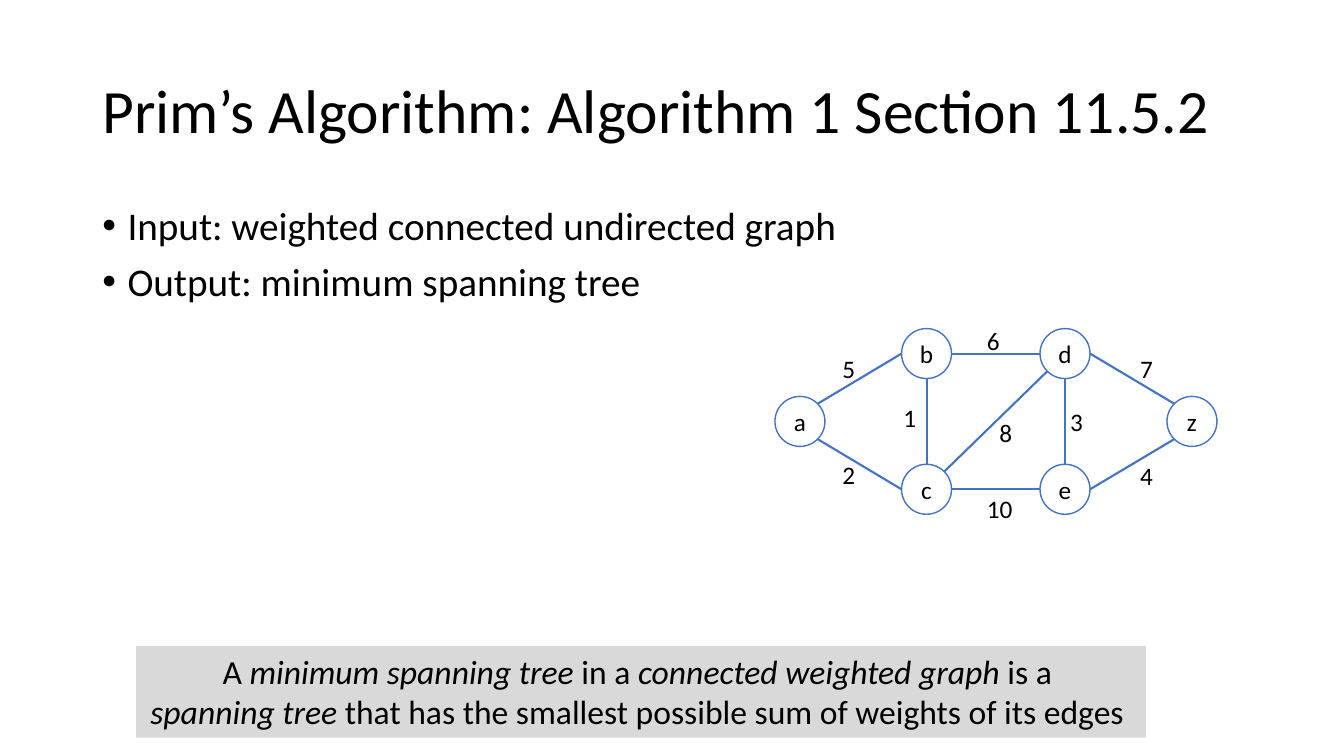
from math import cos, radians, sin

from lxml.etree import SubElement
from pptx import Presentation
from pptx.dml.color import RGBColor
from pptx.enum.shapes import MSO_CONNECTOR, MSO_SHAPE
from pptx.enum.text import MSO_ANCHOR, PP_ALIGN
from pptx.oxml.ns import qn
from pptx.util import Cm, Pt

BLACK = RGBColor(0x00, 0x00, 0x00)
WHITE = RGBColor(0xFF, 0xFF, 0xFF)
BLUE = RGBColor(0x44, 0x72, 0xC4)
GRAY = RGBColor(0xD9, 0xD9, 0xD9)
FONT = "Calibri"

TITLE = "Prim’s Algorithm: Algorithm 1 Section 11.5.2"
BULLETS = ["Input: weighted connected undirected graph", "Output: minimum spanning tree"]
DEFINITION = [
    [("A ", False), ("minimum spanning tree ", True), ("in a ", False),
     ("connected weighted graph ", True), ("is a ", False)],
    [("spanning tree ", True),
     ("that has the smallest possible sum of weights of its edges ", False)],
]

DIAMETER = 1.26
COLUMNS = [0, 3.19, 6.68, 9.88]
ROW_STEP = 1.71
NODES = {"a": (0, 1), "b": (1, 0), "c": (1, 2), "d": (2, 0), "e": (2, 2), "z": (3, 1)}
TOP, LEFT, BOTTOM_LEFT, BOTTOM, BOTTOM_RIGHT, RIGHT, TOP_RIGHT = 0, 2, 3, 4, 5, 6, 7
TOP_LEFT = 1
EDGES = [
    ("b", BOTTOM, "c", TOP, "1", -0.42, -0.08),
    ("d", BOTTOM, "e", TOP, "3", 0.29, 0),
    ("d", LEFT, "b", RIGHT, "6", -0.06, -0.33),
    ("e", LEFT, "c", RIGHT, "10", 0.1, 0.5),
    ("a", TOP_RIGHT, "b", LEFT, "5", -0.27, -0.25),
    ("a", BOTTOM_RIGHT, "c", LEFT, "2", -0.27, 0.27),
    ("d", BOTTOM_LEFT, "c", TOP_RIGHT, "8", 0.25, 0.29),
    ("z", TOP_LEFT, "d", RIGHT, "7", 0.36, -0.25),
    ("z", BOTTOM_LEFT, "e", RIGHT, "4", 0.36, 0.28),
]


def style(para, size, align=PP_ALIGN.LEFT):
    para.alignment = align
    para.font.name = FONT
    para.font.size = Pt(size)
    para.font.color.rgb = BLACK


def add_title(page, left, top, width, height):
    title = page.shapes.title
    title.left, title.top, title.width, title.height = Cm(left), Cm(top), Cm(width), Cm(height)
    title.text_frame.vertical_anchor = MSO_ANCHOR.MIDDLE
    title.text_frame.text = TITLE
    para = title.text_frame.paragraphs[0]
    style(para, 44)
    para.line_spacing = 0.9


def add_bullets(page, left, top, width, height):
    box = page.shapes.add_textbox(Cm(left), Cm(top), Cm(width), Cm(height))
    box.text_frame.word_wrap = True
    box.text_frame.text = "\n".join(BULLETS)
    for para in box.text_frame.paragraphs:
        style(para, 28)
        para.line_spacing = 0.9
        para.space_before = Pt(10)
        properties = para._p.get_or_add_pPr()
        properties.set("marL", str(Pt(18)))
        properties.set("indent", str(-Pt(18)))
        SubElement(properties, qn("a:buFont")).set("typeface", "Arial")
        SubElement(properties, qn("a:buChar")).set("char", "•")
        properties.append(properties.find(qn("a:defRPr")))


def add_definition(page, left, top, width, height):
    box = page.shapes.add_textbox(Cm(left), Cm(top), Cm(width), Cm(height))
    box.fill.solid()
    box.fill.fore_color.rgb = GRAY
    frame = box.text_frame
    frame.word_wrap = False
    for number, spans in enumerate(DEFINITION):
        para = frame.add_paragraph() if number else frame.paragraphs[0]
        style(para, 24, PP_ALIGN.CENTER)
        for text, italic in spans:
            span = para.add_run()
            span.text = text
            span.font.italic = italic


def add_node(page, name, left, top):
    node = page.shapes.add_shape(MSO_SHAPE.OVAL, Cm(left), Cm(top), Cm(DIAMETER), Cm(DIAMETER))
    node.shadow.inherit = False
    node.fill.solid()
    node.fill.fore_color.rgb = WHITE
    node.line.color.rgb = BLUE
    node.line.width = Pt(1)
    frame = node.text_frame
    frame.margin_left = frame.margin_right = 0
    frame.vertical_anchor = MSO_ANCHOR.MIDDLE
    frame.text = name
    style(frame.paragraphs[0], 18, PP_ALIGN.CENTER)
    return node


def site_point(node, site):
    angle = radians(45 * site)
    radius = node.width / 2
    return (int(node.left + radius - radius * sin(angle)),
            int(node.top + radius - radius * cos(angle)))


def add_edge(page, start, start_site, end, end_site):
    begin, finish = site_point(start, start_site), site_point(end, end_site)
    edge = page.shapes.add_connector(MSO_CONNECTOR.STRAIGHT, *begin, *finish)
    edge.line.color.rgb = BLUE
    edge.line.width = Pt(1.5)
    SubElement(edge._element.spPr, qn("a:effectLst"))
    links = edge._element.nvCxnSpPr.cNvCxnSpPr
    for tag, node, site in (("a:stCxn", start, start_site), ("a:endCxn", end, end_site)):
        SubElement(links, qn(tag), id=str(node.shape_id), idx=str(site))
    return (begin[0] + finish[0]) // 2, (begin[1] + finish[1]) // 2


def add_weight(page, text, center_x, center_y):
    width, height = Cm(1.16), Cm(1.03)
    box = page.shapes.add_textbox(center_x - width // 2, center_y - height // 2, width, height)
    box.text_frame.word_wrap = False
    box.text_frame.text = text
    style(box.text_frame.paragraphs[0], 18, PP_ALIGN.CENTER)


def add_graph(page, left, top):
    nodes = {name: add_node(page, name, left + COLUMNS[column], top + row * ROW_STEP)
             for name, (column, row) in NODES.items()}
    for start, start_site, end, end_site, weight, shift_x, shift_y in EDGES:
        x, y = add_edge(page, nodes[start], start_site, nodes[end], end_site)
        add_weight(page, weight, x + Cm(shift_x), y + Cm(shift_y))


def main():
    deck = Presentation()
    deck.slide_width, deck.slide_height = Cm(33.87), Cm(19.05)
    page = deck.slides.add_slide(deck.slide_layouts[5])
    add_title(page, 2.33, 1.01, 29.21, 3.68)
    add_bullets(page, 2.33, 5.07, 29.21, 12.09)
    add_definition(page, 3.43, 16.28, 25.45, 2.31)
    add_graph(page, 19.53, 8.28)
    deck.save("out.pptx")


if __name__ == "__main__":
    main()
